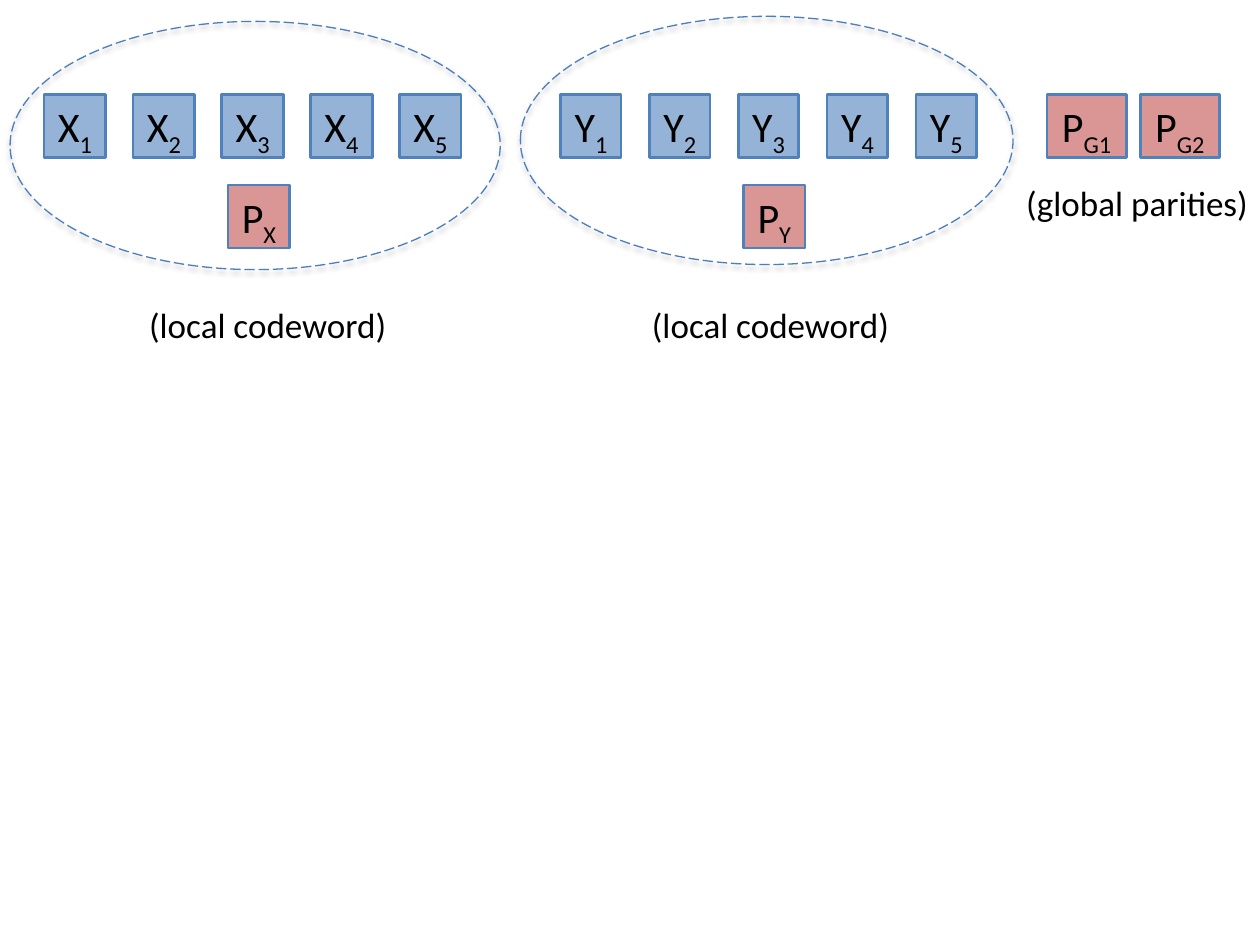
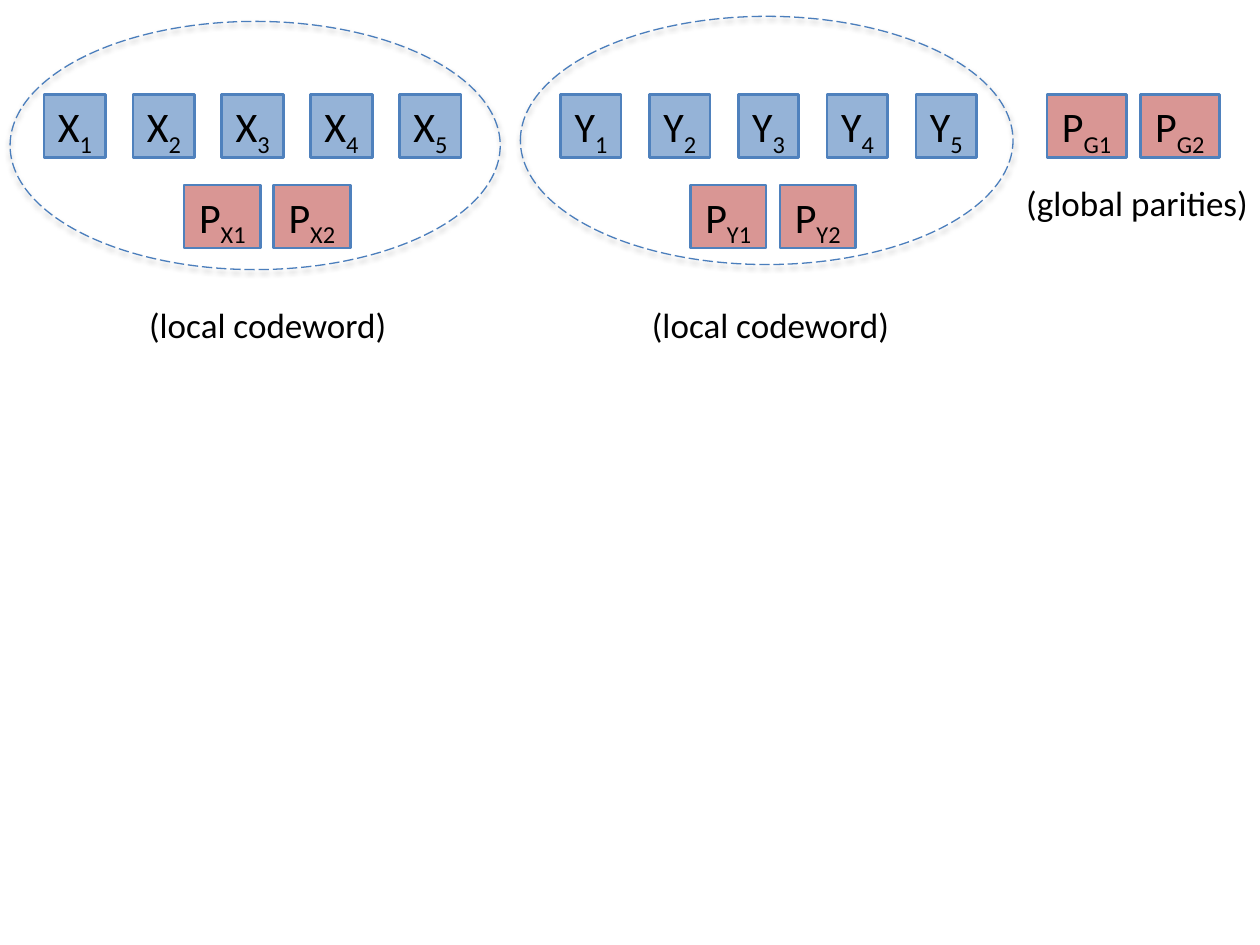
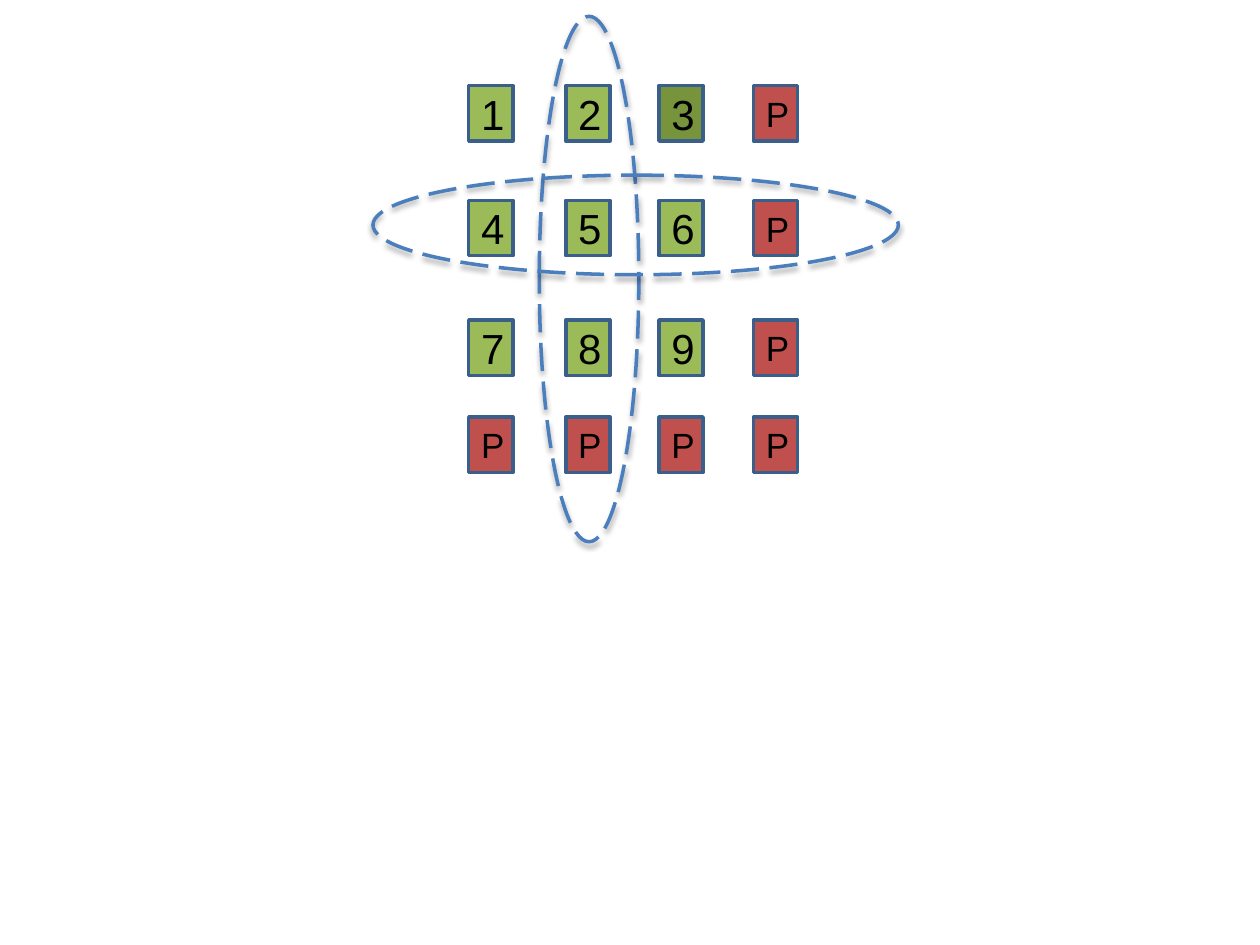
from lxml import etree
from pptx import Presentation
from pptx import util as u
from pptx.dml.color import RGBColor
from pptx.enum import dml, shapes, text
from pptx.oxml.ns import qn

COLORS = {
    "text": "000000", "data": "95B3D7", "parity": "D99694", "edge": "4F81BD",
    "ring": "4B7EBC", "cell": "9BBB59", "cell_dark": "77933C",
    "cell_parity": "C0504D", "cell_edge": "3A5F8B", "shadow": "000000",
}
BOX_H = 0.5
DATA_TOP, PARITY_TOP = 0.75, 1.47
DATA_PITCH = 0.705

CODEWORDS = [
    {"name": "X", "left": 0.35, "width": 0.49, "ring": (0.08, 0.17, 3.89, 1.97),
     "label": (0.67, 2.36, 2.91, 0.68)},
    {"name": "Y", "left": 4.45, "width": 0.48, "ring": (4.13, 0.13, 3.91, 1.97),
     "label": (4.69, 2.36, 2.85, 0.68)},
]
LOCAL_PARITIES = [
    [(["X"], 1.81, 0.49), (["Y"], 5.9, 0.49)],
    [(["X1", "X2"], 1.46, 0.61), (["Y1", "Y2"], 5.48, 0.6)],
]
PARITY_PITCH = 0.71
GLOBAL_PARITIES = (["G1", "G2"], 8.31, 0.63)
GLOBAL_PITCH = 0.74
GLOBAL_LABEL = (7.6, 1.39, 2.85, 0.68)

GRID = ["123P", "456P", "789P", "PPPP"]
GRID_LEFTS = [3.72, 4.49, 5.23, 5.98]
GRID_TOPS = [0.68, 1.59, 2.54, 3.31]
CELL_W, CELL_H = 0.35, 0.44
DARK_CELL = "3"
GRID_RINGS = [((4.28, 0.13, 0.79, 4.17), 0), ((4.65, -0.3, 0.79, 4.17), 90)]


def rgb(name):
    return RGBColor.from_string(COLORS[name])


def inches(at):
    return [u.Inches(v) for v in at]


def add_run(p, words, size, font, subscript=False):
    r = p.add_run()
    r.text = words
    r.font.size = u.Pt(size)
    r.font.name = font
    r.font.color.rgb = rgb("text")
    if subscript:
        r._r.get_or_add_rPr().set("baseline", "-25000")


def add_rect(parent, at, fill, edge, width):
    sp = parent.add_shape(shapes.MSO_SHAPE.RECTANGLE, *inches(at))
    sp.shadow.inherit = False
    sp.fill.solid()
    sp.fill.fore_color.rgb = rgb(fill)
    sp.line.color.rgb = rgb(edge)
    sp.line.width = u.Pt(width)
    return sp


def add_symbol(parent, at, fill, letter, index):
    tf = add_rect(parent, at, fill, "edge", 1.5).text_frame
    tf.word_wrap = False
    tf.auto_size = text.MSO_AUTO_SIZE.SHAPE_TO_FIT_TEXT
    tf.vertical_anchor = text.MSO_ANCHOR.TOP
    p = tf.paragraphs[0]
    p.alignment = text.PP_ALIGN.CENTER
    add_run(p, letter, 24, "Calibri")
    add_run(p, index, 24, "Calibri", subscript=True)


def add_row(slide, letter, indices, left, top, width, pitch, fill):
    parent = slide.shapes
    if len(indices) > 1:
        parent = parent.add_group_shape().shapes
    for i, index in enumerate(indices):
        add_symbol(parent, (left + i * pitch, top, width, BOX_H), fill, letter, index)


def add_ring(parent, at, width, rotation=0):
    sp = parent.add_shape(shapes.MSO_SHAPE.OVAL, *inches(at))
    sp.rotation = rotation
    sp.fill.background()
    sp.line.color.rgb = rgb("ring")
    sp.line.width = u.Pt(width)
    sp.line.dash_style = dml.MSO_LINE.LONG_DASH
    sp.shadow.inherit = False
    effects = sp._element.spPr.find(qn("a:effectLst"))
    shadow = etree.SubElement(effects, qn("a:outerShdw"), blurRad="40000",
                              dist="23000", dir="5400000", rotWithShape="0")
    color = etree.SubElement(shadow, qn("a:srgbClr"), val=COLORS["shadow"])
    etree.SubElement(color, qn("a:alpha"), val="35000")


def add_label(slide, at, words):
    tf = slide.shapes.add_textbox(*inches(at)).text_frame
    tf.word_wrap = True
    p = tf.paragraphs[0]
    p.alignment = text.PP_ALIGN.CENTER
    add_run(p, words, 20, "Calibri")


def build_codewords(slide, local_parities):
    for word in CODEWORDS:
        add_label(slide, word["label"], "(local codeword)")
        add_row(slide, word["name"], "12345", word["left"], DATA_TOP,
                word["width"], DATA_PITCH, "data")
    for indices, left, width in local_parities:
        add_row(slide, "P", indices, left, PARITY_TOP, width, PARITY_PITCH, "parity")
    indices, left, width = GLOBAL_PARITIES
    add_row(slide, "P", indices, left, DATA_TOP, width, GLOBAL_PITCH, "parity")
    for word in CODEWORDS:
        add_ring(slide.shapes, word["ring"], 0.75)
    add_label(slide, GLOBAL_LABEL, "(global parities)")


def build_grid(slide):
    parent = slide.shapes.add_group_shape().shapes
    for top, row in zip(GRID_TOPS, GRID):
        for left, symbol in zip(GRID_LEFTS, row):
            fill = {"P": "cell_parity", DARK_CELL: "cell_dark"}.get(symbol, "cell")
            sp = add_rect(parent, (left, top, CELL_W, CELL_H), fill, "cell_edge", 2)
            tf = sp.text_frame
            tf.word_wrap = True
            tf.vertical_anchor = text.MSO_ANCHOR.MIDDLE
            p = tf.paragraphs[0]
            p.alignment = text.PP_ALIGN.LEFT
            add_run(p, symbol, 20 if symbol == "P" else 24, "Arial")
    for at, rotation in GRID_RINGS:
        add_ring(parent, at, 2, rotation)


def main():
    prs = Presentation()
    prs.slide_width, prs.slide_height = u.Inches(10), u.Inches(7.5)
    blank = prs.slide_layouts[6]
    for local_parities in LOCAL_PARITIES:
        build_codewords(prs.slides.add_slide(blank), local_parities)
    build_grid(prs.slides.add_slide(blank))
    prs.save("out.pptx")


if __name__ == "__main__":
    main()
